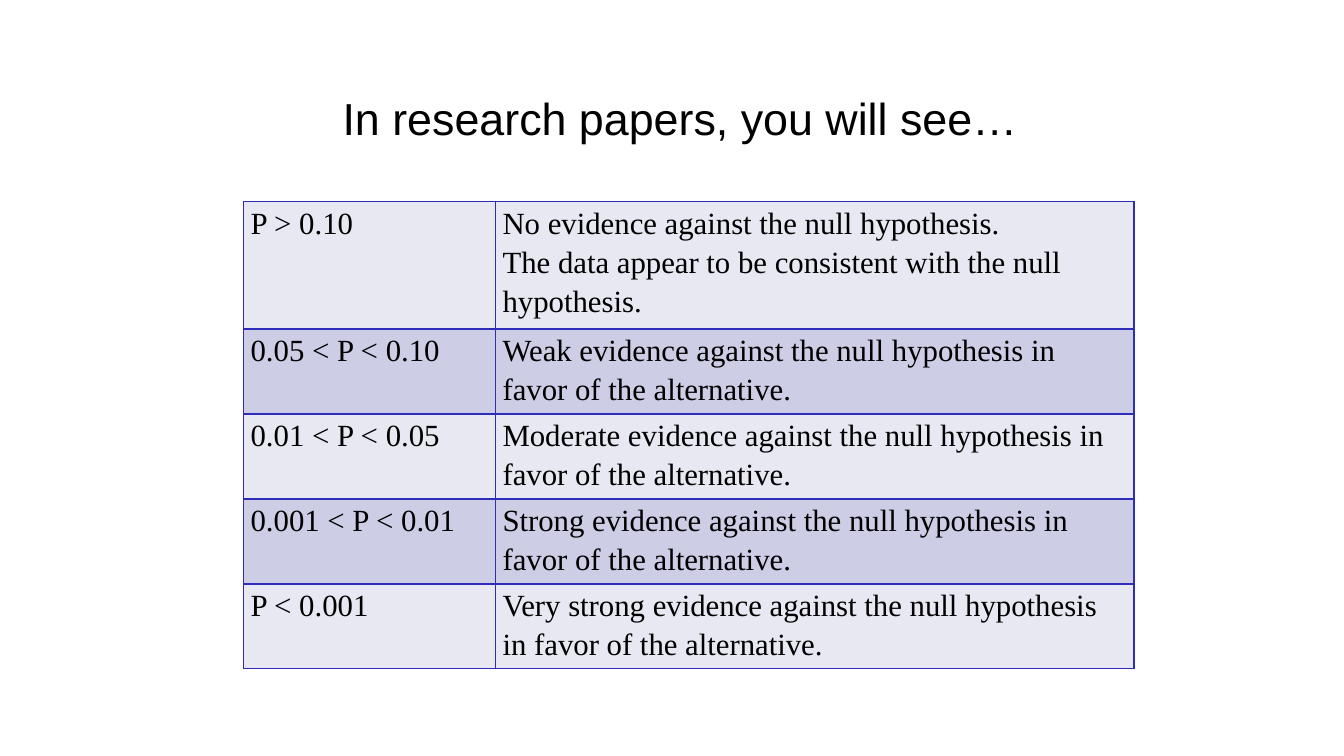
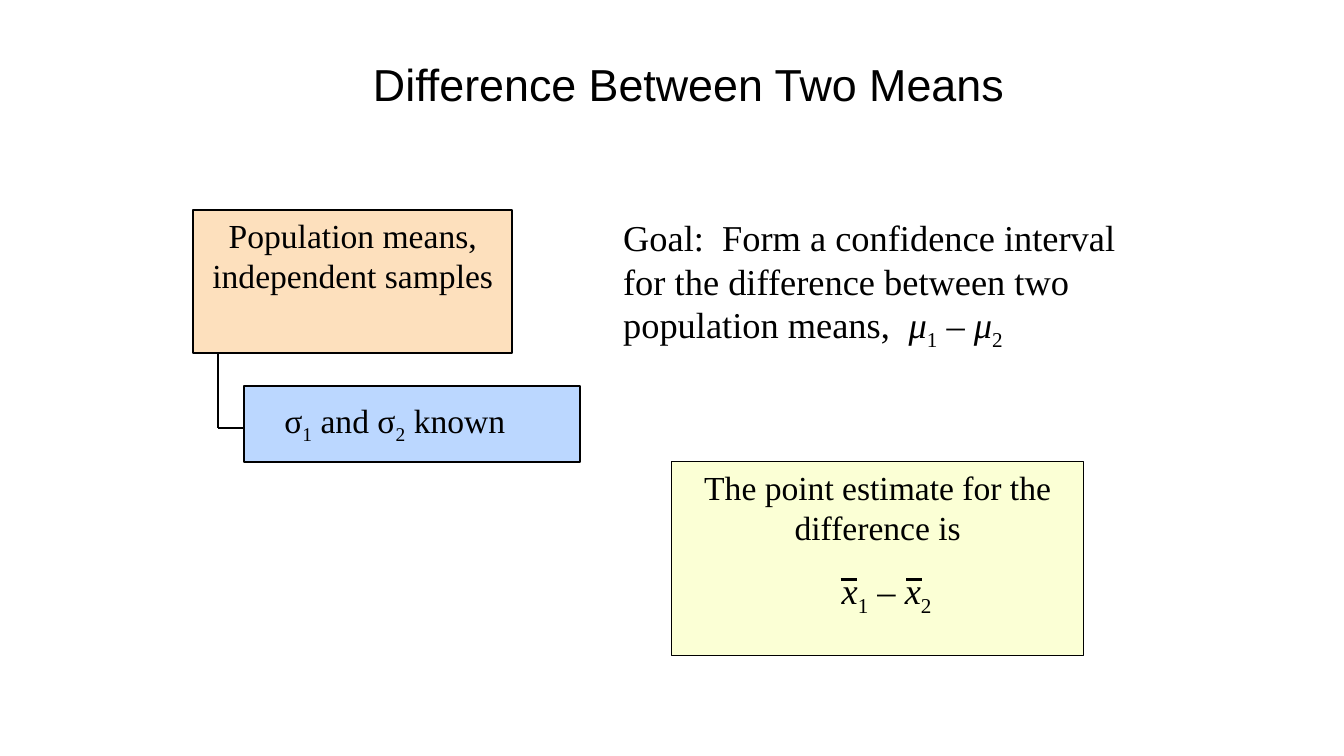
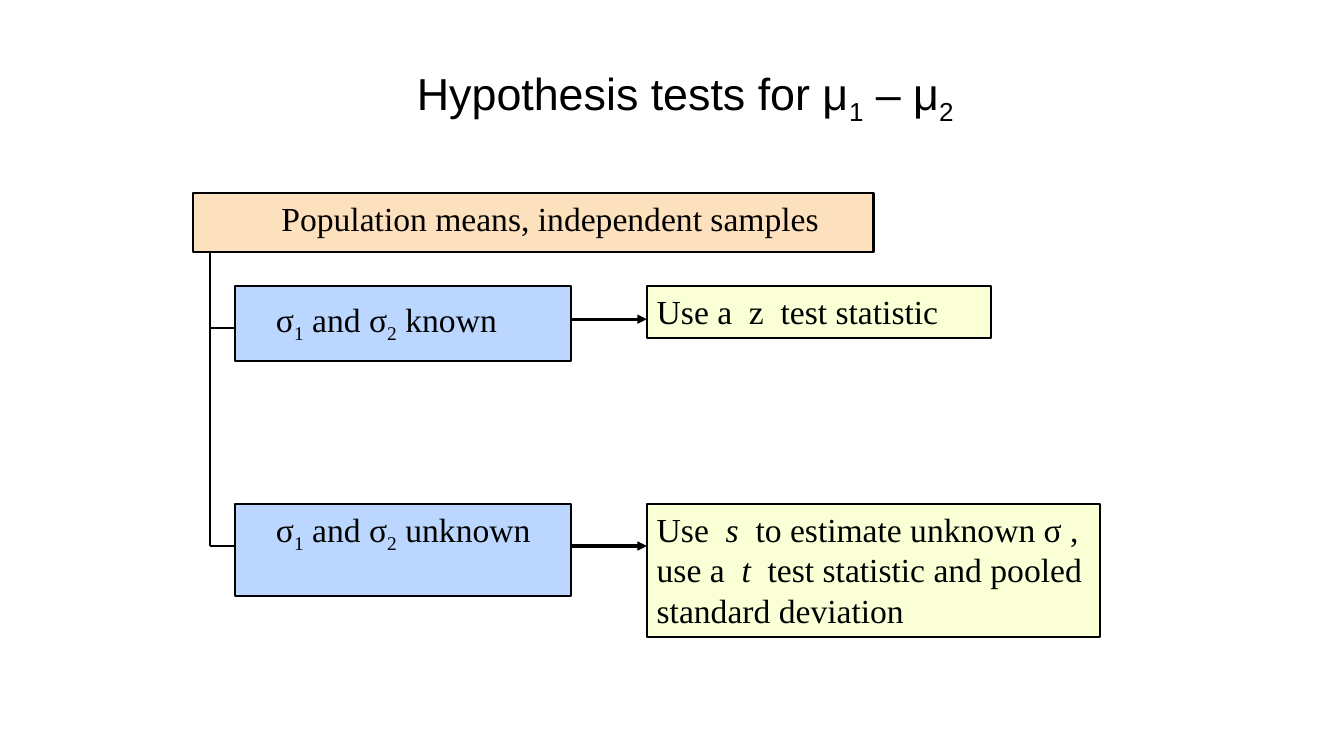
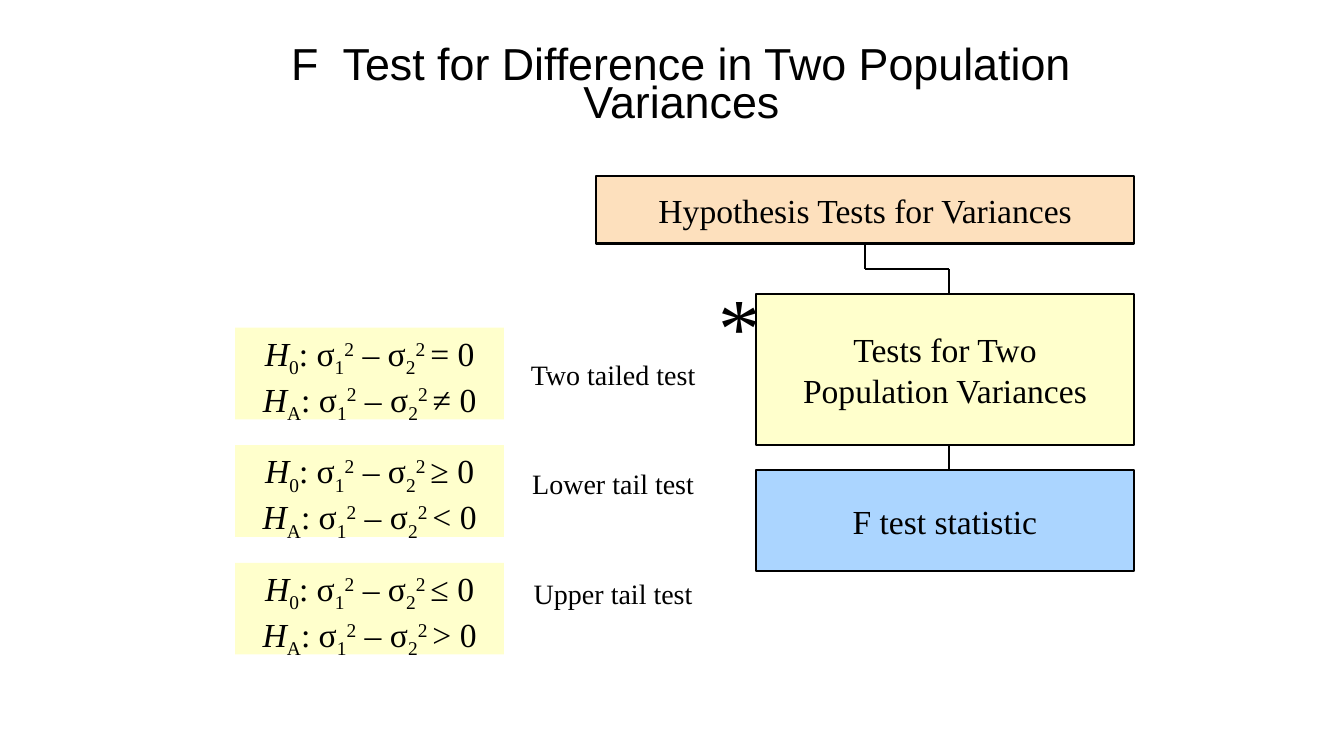
from dataclasses import dataclass
from typing import NamedTuple, Optional, Union

from lxml.etree import SubElement
from pptx import Presentation
from pptx.dml.color import RGBColor
from pptx.enum.shapes import MSO_CONNECTOR, MSO_SHAPE
from pptx.enum.text import MSO_ANCHOR, PP_ALIGN
from pptx.oxml.ns import qn
from pptx.util import Pt

BLACK = RGBColor(0x00, 0x00, 0x00)
PEACH = RGBColor(0xFD, 0xE0, 0xBD)
BLUE = RGBColor(0xBB, 0xD7, 0xFF)
SKY = RGBColor(0xAB, 0xD5, 0xFF)
LEMON = RGBColor(0xFB, 0xFF, 0xD5)
YELLOW = RGBColor(0xFF, 0xFF, 0xCC)
BAND_LIGHT = RGBColor(0xE8, 0xE8, 0xF3)
BAND_DARK = RGBColor(0xCD, 0xCD, 0xE6)
TABLE_BORDER = RGBColor(0x2D, 0x2D, 0xB9)

TITLE_FONT = "Arial"
BODY_FONT = "Times New Roman"
LEFT, CENTER = PP_ALIGN.LEFT, PP_ALIGN.CENTER
TOP, MIDDLE = MSO_ANCHOR.TOP, MSO_ANCHOR.MIDDLE


class Box(NamedTuple):
    left: float
    top: float
    width: float
    height: float

    def lengths(self) -> list:
        return [Pt(value) for value in self]


class Run(NamedTuple):
    text: str
    italic: bool = False
    baseline: int = 0


Line = list[Union[str, Run]]


@dataclass(frozen=True)
class TextStyle:
    size: float = 24
    font: str = BODY_FONT
    align: PP_ALIGN = CENTER
    anchor: MSO_ANCHOR = TOP
    spacing: Optional[float] = None


BODY = TextStyle()
BODY_LEFT = TextStyle(align=LEFT)
BODY_MIDDLE = TextStyle(anchor=MIDDLE)
LARGE = TextStyle(size=26)
LARGE_LEFT = TextStyle(size=26, align=LEFT)
LABEL = TextStyle(size=20)
MARK = TextStyle(size=60)
CELL = TextStyle(size=22, align=LEFT, spacing=1.15)
TITLE = TextStyle(size=32, font=TITLE_FONT, anchor=MIDDLE)
TIGHT_TITLE = TextStyle(size=32, font=TITLE_FONT, anchor=MIDDLE, spacing=0.7)


@dataclass(frozen=True)
class Panel:
    box: Box
    fill: RGBColor
    border: float = 1.5
    lines: tuple = ()
    style: TextStyle = BODY


class Segment(NamedTuple):
    start: tuple[float, float]
    end: tuple[float, float]
    width: float = 1.5
    arrow: bool = False


def italic(text: str) -> Run:
    return Run(text, italic=True)


def sub(text: str) -> Run:
    return Run(text, baseline=-25000)


def sup(text: str) -> Run:
    return Run(text, baseline=30000)


def sigmas(state: str) -> Line:
    return ["σ", sub("1"), " and σ", sub("2"), f" {state}"]


def hypothesis(index: str, relation: str) -> Line:
    return [italic("H"), sub(index), ": σ", sub("1"), sup("2"), " – σ",
            sub("2"), sup("2 "), f"{relation} 0"]


def write_lines(frame, lines, style: TextStyle) -> None:
    frame.word_wrap = True
    frame.vertical_anchor = style.anchor
    for index, line in enumerate(lines):
        paragraph = frame.paragraphs[0] if index == 0 else frame.add_paragraph()
        paragraph.alignment = style.align
        paragraph.line_spacing = style.spacing
        for part in line:
            piece = Run(part) if isinstance(part, str) else part
            run = paragraph.add_run()
            run.text = piece.text
            run.font.color.rgb = BLACK
            values = {"name": style.font, "size": Pt(style.size),
                      "bold": False, "italic": piece.italic}
            for name, value in values.items():
                setattr(run.font, name, value)
            if piece.baseline:
                run._r.get_or_add_rPr().set("baseline", str(piece.baseline))


def add_text(slide, box: Box, line: Line, style: TextStyle = BODY) -> None:
    shape = slide.shapes.add_textbox(*box.lengths())
    write_lines(shape.text_frame, [line], style)


def add_panel(slide, panel: Panel):
    shape = slide.shapes.add_shape(MSO_SHAPE.RECTANGLE, *panel.box.lengths())
    shape.shadow.inherit = False
    shape.fill.solid()
    shape.fill.fore_color.rgb = panel.fill
    if panel.border:
        shape.line.color.rgb = BLACK
        shape.line.width = Pt(panel.border)
    else:
        shape.line.fill.background()
    write_lines(shape.text_frame, panel.lines, panel.style)
    return shape


def add_segment(slide, segment: Segment):
    points = [Pt(value) for value in (*segment.start, *segment.end)]
    connector = slide.shapes.add_connector(MSO_CONNECTOR.STRAIGHT, *points)
    connector.line.color.rgb = BLACK
    connector.line.width = Pt(segment.width)
    if segment.arrow:
        SubElement(connector.line._get_or_add_ln(), qn("a:tailEnd"), type="triangle")
    SubElement(connector._element.spPr, qn("a:effectLst"))
    return connector


def set_cell_border(cell) -> None:
    properties = cell._tc.get_or_add_tcPr()
    for index, side in enumerate(("a:lnL", "a:lnR", "a:lnT", "a:lnB")):
        line = properties.makeelement(qn(side), {"w": str(Pt(1))})
        fill = SubElement(line, qn("a:solidFill"))
        SubElement(fill, qn("a:srgbClr"), val=str(TABLE_BORDER))
        properties.insert(index, line)


def build_evidence(slide) -> None:
    add_text(slide, Box(216, 54, 540, 60), ["In research papers, you will see…"], TITLE)
    alternative = "evidence against the null hypothesis in favor of the alternative."
    rows = [
        ("P > 0.10", ["No evidence against the null hypothesis.",
                      "The data appear to be consistent with the null hypothesis."]),
        ("0.05 < P < 0.10", [f"Weak {alternative}"]),
        ("0.01 < P < 0.05", [f"Moderate {alternative}"]),
        ("0.001 < P < 0.01", [f"Strong {alternative}"]),
        ("P < 0.001", [f"Very strong {alternative}"]),
    ]
    box = Box(174, 144, 636, 308)
    table = slide.shapes.add_table(len(rows), 2, *box.lengths()).table
    table.first_row = table.horz_banding = False
    for column, width in zip(table.columns, (180, 456)):
        column.width = Pt(width)
    margins = {"margin_left": Pt(5), "margin_right": Pt(5),
               "margin_top": Pt(0), "margin_bottom": Pt(0)}
    for row_index, (range_text, meaning) in enumerate(rows):
        table.rows[row_index].height = Pt(84 if row_index == 0 else 56)
        for column_index, texts in enumerate(([range_text], meaning)):
            cell = table.cell(row_index, column_index)
            for name, value in margins.items():
                setattr(cell, name, value)
            cell.fill.solid()
            cell.fill.fore_color.rgb = BAND_DARK if row_index % 2 else BAND_LIGHT
            set_cell_border(cell)
            write_lines(cell.text_frame, [[text] for text in texts], CELL)


def build_means(slide) -> None:
    add_panel(slide, Panel(Box(480, 330, 294, 138), LEMON, 0.75))
    add_text(slide, Box(210, 30, 564, 60), ["Difference Between Two Means"], TITLE)
    add_panel(slide, Panel(Box(138, 150, 228, 102), PEACH))
    add_text(slide, Box(144, 150, 216, 65.5), ["Population means, independent samples"])
    add_panel(slide, Panel(Box(174, 276, 240, 54), BLUE))
    add_text(slide, Box(186, 282, 192, 36), sigmas("known"))
    goal = "Goal:  Form a confidence interval for the difference between two population means,  "
    add_text(slide, Box(438, 150, 372, 101.5),
             [goal, italic("μ"), sub("1"), " – ", italic("μ"), sub("2")], LARGE_LEFT)
    add_text(slide, Box(480, 330, 294, 65.5), ["The point estimate for the difference is"])
    add_text(slide, Box(444, 402, 372, 39),
             [italic(" x"), sub("1"), " – ", italic("x"), sub("2")], LARGE)
    corner = (156, 306)
    for segment in (Segment((156, 252), corner), Segment(corner, (174, 306))):
        add_segment(slide, segment)
    for left in (600.5, 647.3):
        add_segment(slide, Segment((left, 414), (left + 11.5, 414), 2.25))


def build_tests(slide) -> None:
    add_text(slide, Box(210, 48, 564, 42),
             ["Hypothesis tests for μ", sub("1"), " – μ", sub("2 ")], TITLE)
    add_panel(slide, Panel(Box(138, 138, 486, 42), PEACH))
    add_text(slide, Box(144, 138, 498, 36), ["Population means, independent samples"])
    add_panel(slide, Panel(Box(168, 204, 240, 54), BLUE))
    add_text(slide, Box(180, 210, 192, 36), sigmas("known"))
    add_panel(slide, Panel(Box(168, 360, 240, 66), BLUE))
    add_text(slide, Box(174, 360, 234, 60), sigmas("unknown "))
    add_segment(slide, Segment((150, 180), (150, 390)))
    for height in (234, 390):
        add_segment(slide, Segment((150, height), (168, height)))
    z_test: Line = ["Use a  z  test statistic"]
    t_test: Line = ["Use  ", italic("s "), " to estimate unknown σ , use a  ",
                    italic("t"), "  test statistic and pooled standard deviation"]
    for box, line in ((Box(462, 204, 246, 37.5), z_test), (Box(462, 360, 324, 95), t_test)):
        add_panel(slide, Panel(box, LEMON, lines=(line,), style=BODY_LEFT))
    for height in (228, 390):
        add_segment(slide, Segment((408, height), (462, height), 2.25, True))


def build_variances(slide) -> None:
    heading = add_panel(slide, Panel(Box(426, 126, 384, 48), PEACH,
                                     lines=(["Hypothesis Tests for Variances"],),
                                     style=BODY_MIDDLE))
    add_panel(slide, Panel(Box(540, 210, 270, 108), YELLOW,
                           lines=(["Tests for Two"], ["Population Variances"]),
                           style=BODY_MIDDLE))
    drop = add_segment(slide, Segment((618, 174), (618, 192)))
    drop.begin_connect(heading, 2)
    for segment in (Segment((618, 192), (678, 192)), Segment((678, 192), (678, 210)),
                    Segment((678, 318), (678, 336))):
        add_segment(slide, segment)
    add_panel(slide, Panel(Box(540, 336, 270, 72), SKY,
                           lines=(["F test statistic"],), style=BODY_MIDDLE))
    add_text(slide, Box(504, 192, 48, 79), ["*"], MARK)
    add_text(slide, Box(180, 24, 613.5, 78),
             ["F  Test for Difference in Two Population Variances"], TIGHT_TITLE)
    cases = (("Two tailed test", "=", "≠"), ("Lower tail test", "≥", "<"),
             ("Upper tail test", "≤", ">"))
    for index, (label, null_relation, other_relation) in enumerate(cases):
        lines = (hypothesis("0", null_relation), hypothesis("A", other_relation))
        add_panel(slide, Panel(Box(168, 234 + 84 * index, 192, 65.5), YELLOW, 0, lines))
        add_text(slide, Box(366, 252 + 78 * index, 144, 31), [label], LABEL)


def main() -> None:
    presentation = Presentation()
    presentation.slide_width = Pt(960)
    presentation.slide_height = Pt(540)
    blank = presentation.slide_layouts[6]
    for build in (build_evidence, build_means, build_tests, build_variances):
        build(presentation.slides.add_slide(blank))
    presentation.save("out.pptx")


if __name__ == "__main__":
    main()
